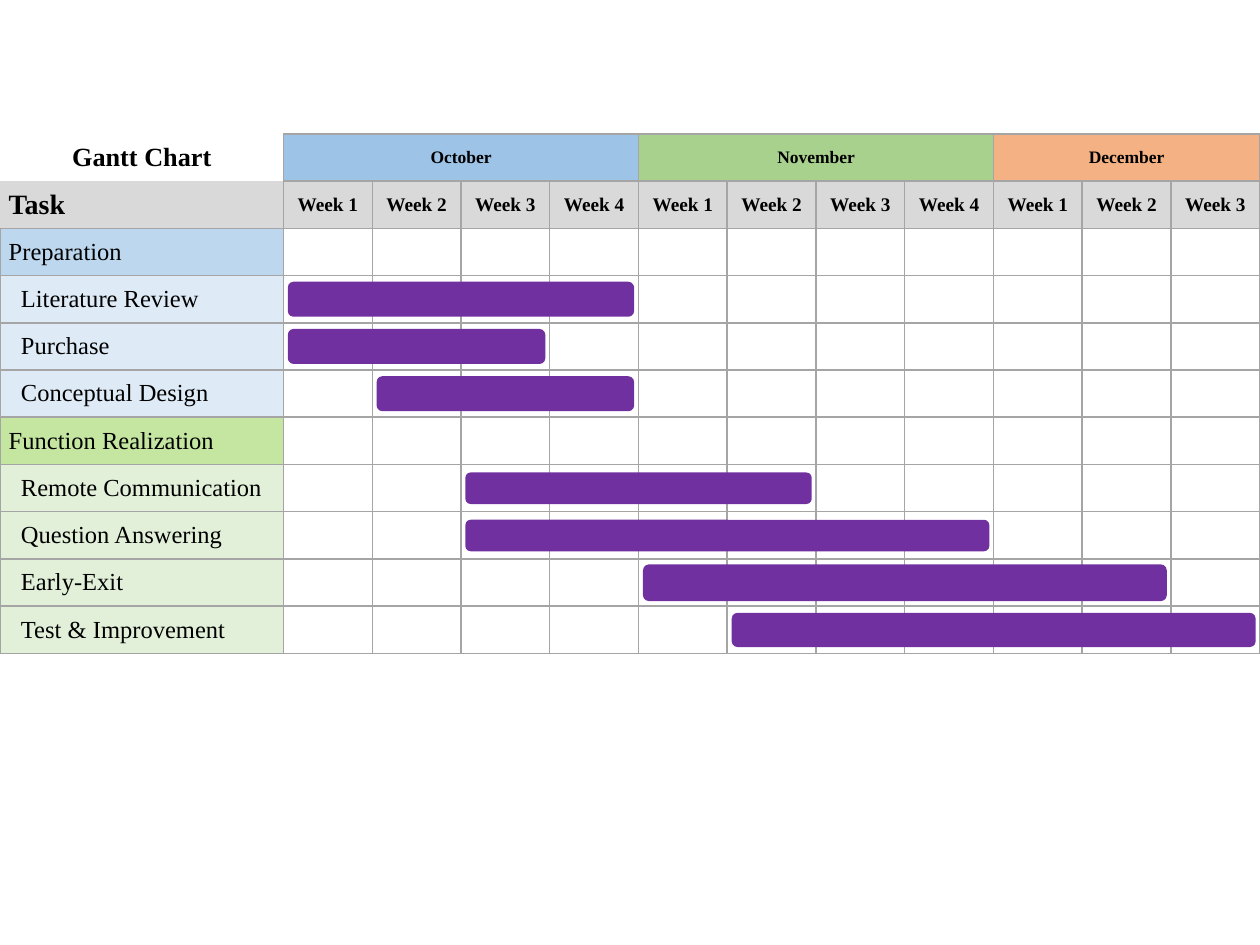
from itertools import product

from lxml.etree import SubElement
from pptx import Presentation
from pptx.dml.color import RGBColor
from pptx.enum.shapes import MSO_SHAPE as Shape
from pptx.enum.text import MSO_ANCHOR as Anchor, PP_ALIGN as Align
from pptx.oxml.ns import qn
from pptx.util import Pt

COLORS = {
    "white": "FFFFFF", "text": "000000", "border": "A5A5A5", "header": "D9D9D9",
    "october": "9DC3E6", "november": "A9D18E", "december": "F4B183",
    "preparation": "BDD7EE", "preparation_task": "DEEBF7",
    "realization": "C4E6A0", "realization_task": "E2F0D9", "bar": "7030A0",
}
FONT = "Times New Roman"
MONTHS = [("October", 4), ("November", 4), ("December", 3)]
TASKS = [
    ("Preparation", "preparation", 0),
    ("Literature Review", "preparation_task", 7),
    ("Purchase", "preparation_task", 7),
    ("Conceptual Design", "preparation_task", 7),
    ("Function Realization", "realization", 0),
    ("Remote Communication", "realization_task", 7),
    ("Question Answering", "realization_task", 7),
    ("Early-Exit", "realization_task", 7),
    ("Test & Improvement", "realization_task", 7),
]
BARS = [
    ("Literature Review", 0, 4, 20), ("Purchase", 0, 3, 20),
    ("Conceptual Design", 1, 3, 20), ("Remote Communication", 2, 4, 18),
    ("Question Answering", 2, 6, 18), ("Early-Exit", 4, 6, 21),
    ("Test & Improvement", 5, 6, 19.5),
]
WEEK_COUNT = sum(weeks for _, weeks in MONTHS)
ROW_COUNT = len(TASKS) + 2
TASK_WIDTH = 162
BAR_INSET = 2.5


def rgb(name):
    """Return the named colour."""
    return RGBColor.from_string(COLORS[name])


def fill_cell(cell, color, sides="LRTB"):
    """Fill a cell and draw a thin border on the given sides."""
    cell.fill.solid()
    cell.fill.fore_color.rgb = rgb(color)
    properties = cell._tc.get_or_add_tcPr()
    for index, side in enumerate("LRTB"):
        line = SubElement(properties, qn(f"a:ln{side}"), w=str(Pt(1)))
        if side in sides:
            solid = SubElement(line, qn("a:solidFill"))
            SubElement(solid, qn("a:srgbClr"), val=COLORS["border"])
        else:
            SubElement(line, qn("a:noFill"))
        properties.insert(index, line)


def write_cell(cell, text, size, bold=False, align=Align.LEFT, indent=0):
    """Write one vertically centred line of text in a cell."""
    cell.vertical_anchor = Anchor.MIDDLE
    cell.margin_left, cell.margin_right = Pt(5 + indent), Pt(5)
    cell.margin_top = cell.margin_bottom = Pt(2.7)
    paragraph = cell.text_frame.paragraphs[0]
    paragraph.alignment = align
    run = paragraph.add_run()
    run.text = text
    run.font.name, run.font.size, run.font.bold = FONT, Pt(size), bold
    run.font.color.rgb = rgb("text")


def add_schedule(slide, left, top, width, height):
    """Add the table of tasks by week."""
    frame = slide.shapes.add_table(
        ROW_COUNT, WEEK_COUNT + 1, Pt(left), Pt(top), Pt(width), Pt(height))
    table = frame.table
    table.first_row = table.horz_banding = False
    for row in table.rows:
        row.height = Pt(height / ROW_COUNT)
    for index, column in enumerate(table.columns):
        column.width = Pt((width - TASK_WIDTH) / WEEK_COUNT if index else TASK_WIDTH)

    fill_cell(table.cell(0, 0), "white", "R")
    write_cell(table.cell(0, 0), "Gantt Chart", 15, True, Align.CENTER)
    fill_cell(table.cell(1, 0), "header", "RB")
    write_cell(table.cell(1, 0), "Task", 16, True)

    first = 1
    for month, weeks in MONTHS:
        for week in range(weeks):
            fill_cell(table.cell(0, first + week), month.lower())
            fill_cell(table.cell(1, first + week), "header")
            write_cell(table.cell(1, first + week), f"Week {week + 1}", 11, True, Align.CENTER)
        table.cell(0, first).merge(table.cell(0, first + weeks - 1))
        write_cell(table.cell(0, first), month, 10, True, Align.CENTER)
        first += weeks

    for row, (name, color, indent) in enumerate(TASKS, 2):
        fill_cell(table.cell(row, 0), color)
        write_cell(table.cell(row, 0), name, 14, indent=indent)
    for row, column in product(range(2, ROW_COUNT), range(1, WEEK_COUNT + 1)):
        cell = table.cell(row, column)
        fill_cell(cell, "white")
        cell.margin_top = cell.margin_bottom = 0


def add_bars(slide, left, top, width, height):
    """Add a bar over the weeks that each task takes."""
    week_width = (width - TASK_WIDTH) / WEEK_COUNT
    row_height = height / ROW_COUNT
    names = [name for name, _, _ in TASKS]
    for name, start, weeks, bar_height in BARS:
        row_top = top + (names.index(name) + 2) * row_height
        bar = slide.shapes.add_shape(
            Shape.ROUNDED_RECTANGLE,
            Pt(left + TASK_WIDTH + start * week_width + BAR_INSET),
            Pt(row_top + (row_height - bar_height) / 2),
            Pt(weeks * week_width - 2 * BAR_INSET), Pt(bar_height))
        bar.shadow.inherit = False
        bar.fill.solid()
        bar.fill.fore_color.rgb = rgb("bar")
        bar.line.fill.background()


def main():
    """Build the Gantt chart slide."""
    presentation = Presentation()
    presentation.slide_width, presentation.slide_height = Pt(720), Pt(540)
    slide = presentation.slides.add_slide(presentation.slide_layouts[6])
    slide.background.fill.solid()
    slide.background.fill.fore_color.rgb = rgb("white")
    box = (0, 76.5, 720, 297)
    add_schedule(slide, *box)
    add_bars(slide, *box)
    presentation.save("out.pptx")


if __name__ == "__main__":
    main()
